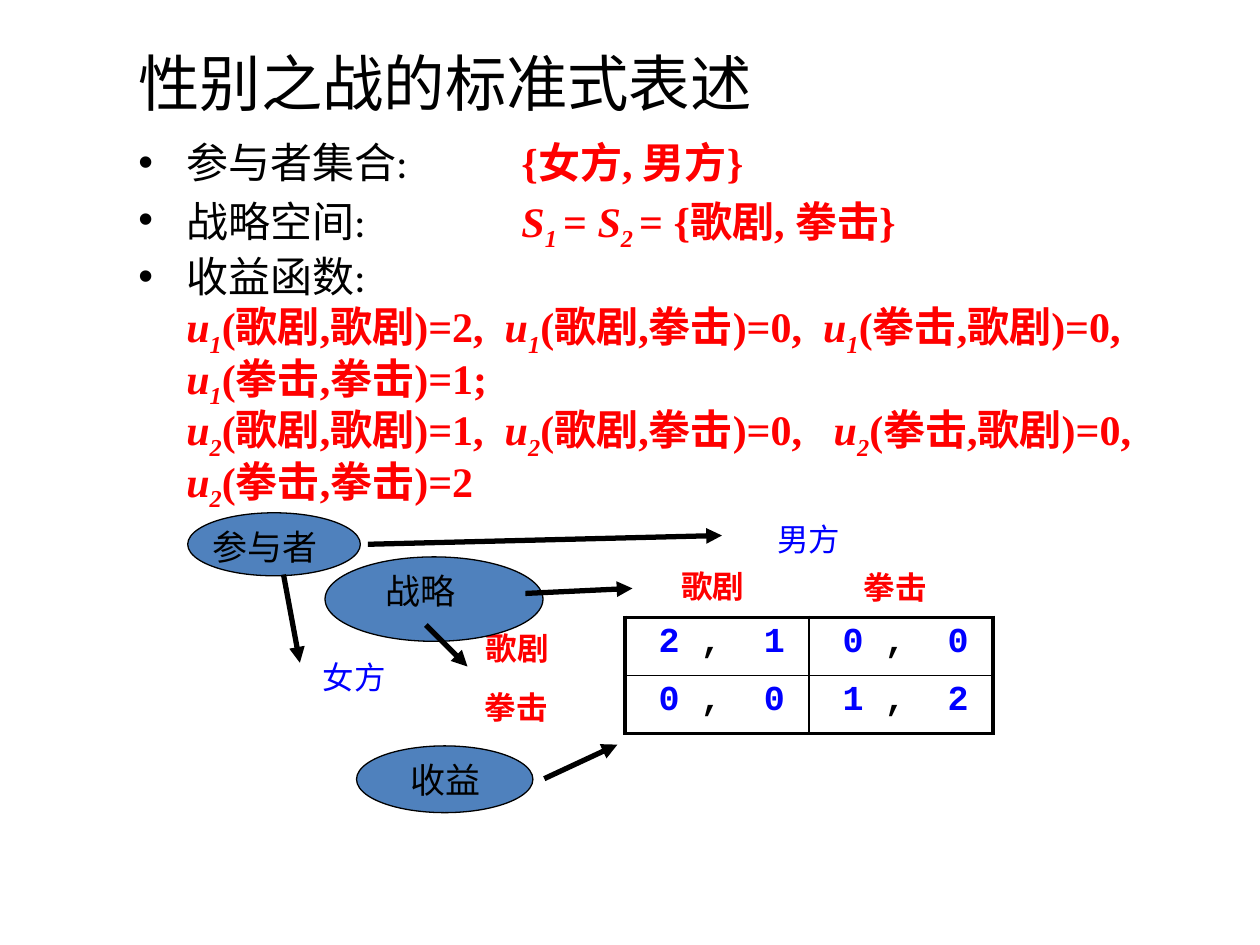
from lxml.etree import SubElement
from pptx import Presentation
from pptx.dml.color import RGBColor
from pptx.enum.shapes import MSO_CONNECTOR, MSO_SHAPE
from pptx.enum.text import MSO_ANCHOR, MSO_AUTO_SIZE, PP_ALIGN
from pptx.oxml.ns import qn
from pptx.util import Inches, Pt

COLORS = {"black": "000000", "red": "FF0000", "blue": "0000FF", "oval": "4F81BD"}
COLUMNS, ROWS = 100, 75
WIDTH, HEIGHT = Inches(10), Inches(7.5)
OPERA, BOXING = "歌剧", "拳击"
VALUE = {"font": "Times New Roman", "color": "red", "bold": True}


def color(name):
    return RGBColor.from_string(COLORS[name])


def across(columns):
    return round(WIDTH * columns / COLUMNS)


def down(rows):
    return round(HEIGHT * rows / ROWS)


def area(left, top, width, height):
    return across(left), down(top), across(width), down(height)


def write(paragraph, text, font="Arial", size=24, color_name=None, bold=False,
          italic=False, subscript=False, **options):
    run = paragraph.add_run()
    run.text = text
    run.font.name = font
    run.font.size = Pt(size)
    run.font.bold = bold
    run.font.italic = italic
    run.font.color.rgb = color(color_name or options.get("color", "black"))
    if subscript:
        run._r.get_or_add_rPr().set("baseline", "-25000")


def write_symbol(paragraph, letter, index):
    write(paragraph, letter, italic=True, **VALUE)
    write(paragraph, index, italic=True, subscript=True, **VALUE)


def add_label(slide, text, position, align=PP_ALIGN.LEFT, indent=0, **style):
    frame = slide.shapes.add_textbox(*area(*position)).text_frame
    frame.word_wrap = True
    frame.auto_size = MSO_AUTO_SIZE.SHAPE_TO_FIT_TEXT
    frame.margin_left = Inches(0.1) + across(indent)
    frame.paragraphs[0].alignment = align
    write(frame.paragraphs[0], text, **style)


def add_oval(slide, text, position, label_position, indent=0):
    shape = slide.shapes.add_shape(MSO_SHAPE.OVAL, *area(*position))
    shape.shadow.inherit = False
    shape.fill.solid()
    shape.fill.fore_color.rgb = color("oval")
    shape.line.color.rgb = color("black")
    shape.line.width = Pt(0.75)
    add_label(slide, text, label_position, indent=indent, size=20)


def add_arrow(slide, start, end):
    connector = slide.shapes.add_connector(
        MSO_CONNECTOR.STRAIGHT, across(start[0]), down(start[1]), across(end[0]), down(end[1]))
    connector.line.color.rgb = color("black")
    connector.line.width = Pt(3)
    SubElement(connector.line._get_or_add_ln(), qn("a:tailEnd"), type="triangle")
    SubElement(connector._element.spPr, qn("a:effectLst"))


def add_bullet(frame, label, first=False):
    paragraph = frame.paragraphs[0] if first else frame.add_paragraph()
    properties = paragraph._p.get_or_add_pPr()
    properties.set("marL", str(Inches(0.38)))
    properties.set("indent", str(-Inches(0.38)))
    SubElement(properties, qn("a:buFont"), typeface="Arial")
    SubElement(properties, qn("a:buChar"), char="•")
    tabs = SubElement(properties, qn("a:tabLst"))
    SubElement(tabs, qn("a:tab"), pos=str(Inches(3.04)), algn="l")
    paragraph.line_spacing = 0.9
    if not first:
        paragraph.space_before = Pt(4.8)
    write(paragraph, label, font="Calibri")
    return paragraph


def add_title(slide):
    title = slide.shapes.title
    title.left, title.top, title.width, title.height = area(10, 3, 85, 7)
    frame = title.text_frame
    frame.vertical_anchor = MSO_ANCHOR.MIDDLE
    frame.paragraphs[0].alignment = PP_ALIGN.LEFT
    write(frame.paragraphs[0], "性别之战的标准式表述", size=35.1)


def add_definition(slide):
    frame = slide.shapes.add_textbox(*area(10, 10.8, 84.2, 29.8)).text_frame
    frame.word_wrap = True
    players = add_bullet(frame, "参与者集合:\t", first=True)
    write(players, "{女方, 男方}", **VALUE)

    strategies = add_bullet(frame, "战略空间:\t")
    for index, text in (("1 ", "= "), ("2 ", f"= {{{OPERA}, {BOXING}}}")):
        write_symbol(strategies, "S", index)
        write(strategies, text, **VALUE)

    payoffs = add_bullet(frame, "收益函数:")
    outcomes = [(row, column) for row in (OPERA, BOXING) for column in (OPERA, BOXING)]
    functions = (
        ("1", ("2,  ", "0,  ", "0,  ", "1;")),
        ("2", ("1,  ", "0,   ", "0, ", "2")),
    )
    for index, values in functions:
        payoffs.add_line_break()
        for (row, column), value in zip(outcomes, values):
            write_symbol(payoffs, "u", index)
            write(payoffs, f"({row},{column})={value}", **VALUE)


def set_borders(cell, widths):
    properties = cell._tc.get_or_add_tcPr()
    for position, (side, width) in enumerate(widths.items()):
        line = properties.makeelement(qn(f"a:ln{side}"), {"w": str(Pt(width))})
        fill = SubElement(line, qn("a:solidFill"))
        SubElement(fill, qn("a:srgbClr"), val=COLORS["black"])
        properties.insert(position, line)


def add_payoff_table(slide, payoffs):
    count = len(payoffs)
    table = slide.shapes.add_table(count, count, *area(49.6, 49, 29.2, 9.2)).table
    table.first_row = table.horz_banding = False
    for row, pairs in enumerate(payoffs):
        for column, (woman, man) in enumerate(pairs):
            cell = table.cell(row, column)
            cell.fill.background()
            cell.margin_left = across(2.67)
            paragraph = cell.text_frame.paragraphs[0]
            for text, name in ((f"{woman} ", "blue"), (",  ", "black"), (man, "blue")):
                write(paragraph, text, font="Courier New", size=20, color=name, bold=True)
            set_borders(cell, {
                "L": 2.25 if column == 0 else 1,
                "R": 2.25 if column == count - 1 else 1,
                "T": 2.25 if row == 0 else 1,
                "B": 2.25 if row == count - 1 else 1,
            })


def main():
    presentation = Presentation()
    presentation.slide_width, presentation.slide_height = WIDTH, HEIGHT
    slide = presentation.slides.add_slide(presentation.slide_layouts[5])
    add_title(slide)
    add_definition(slide)
    add_payoff_table(slide, ((("2", "1"), ("0", "0")), (("0", "0"), ("1", "2"))))

    player = {"size": 18, "color": "blue"}
    add_label(slide, "女方", (16.7, 51.7, 14.9, 4), PP_ALIGN.RIGHT, **player)
    add_label(slide, "男方", (56.8, 40.8, 14.8, 4), PP_ALIGN.CENTER, **player)
    strategy_labels = (
        (OPERA, (49.5, 44.5, 14.1, 4)),
        (BOXING, (64, 44.6, 14.1, 4)),
        (OPERA, (33.6, 49.4, 14.9, 4)),
        (BOXING, (33.5, 54.1, 14.9, 4)),
    )
    for text, position in strategy_labels:
        add_label(slide, text, position, PP_ALIGN.CENTER, size=18, **VALUE)

    add_oval(slide, "参与者", (14.9, 40.7, 13.7, 5), (15.9, 41.2, 13.4, 4.3))
    add_oval(slide, "战略", (25.8, 44.2, 17.3, 6.7), (27.1, 44.7, 17, 4.4), indent=2.5)
    add_oval(slide, "收益", (28.3, 59.2, 14, 5.3), (30.3, 59.7, 14.6, 4.3), indent=1.3)

    arrows = (
        ((29.2, 43.2), (57.3, 42.5)),
        ((22.5, 45.6), (23.8, 52.6)),
        ((41.7, 47.1), (50.2, 46.7)),
        ((33.8, 49.6), (37.1, 52.9)),
        ((43.2, 61.8), (49, 59.1)),
    )
    for start, end in arrows:
        add_arrow(slide, start, end)
    presentation.save("out.pptx")


if __name__ == "__main__":
    main()
